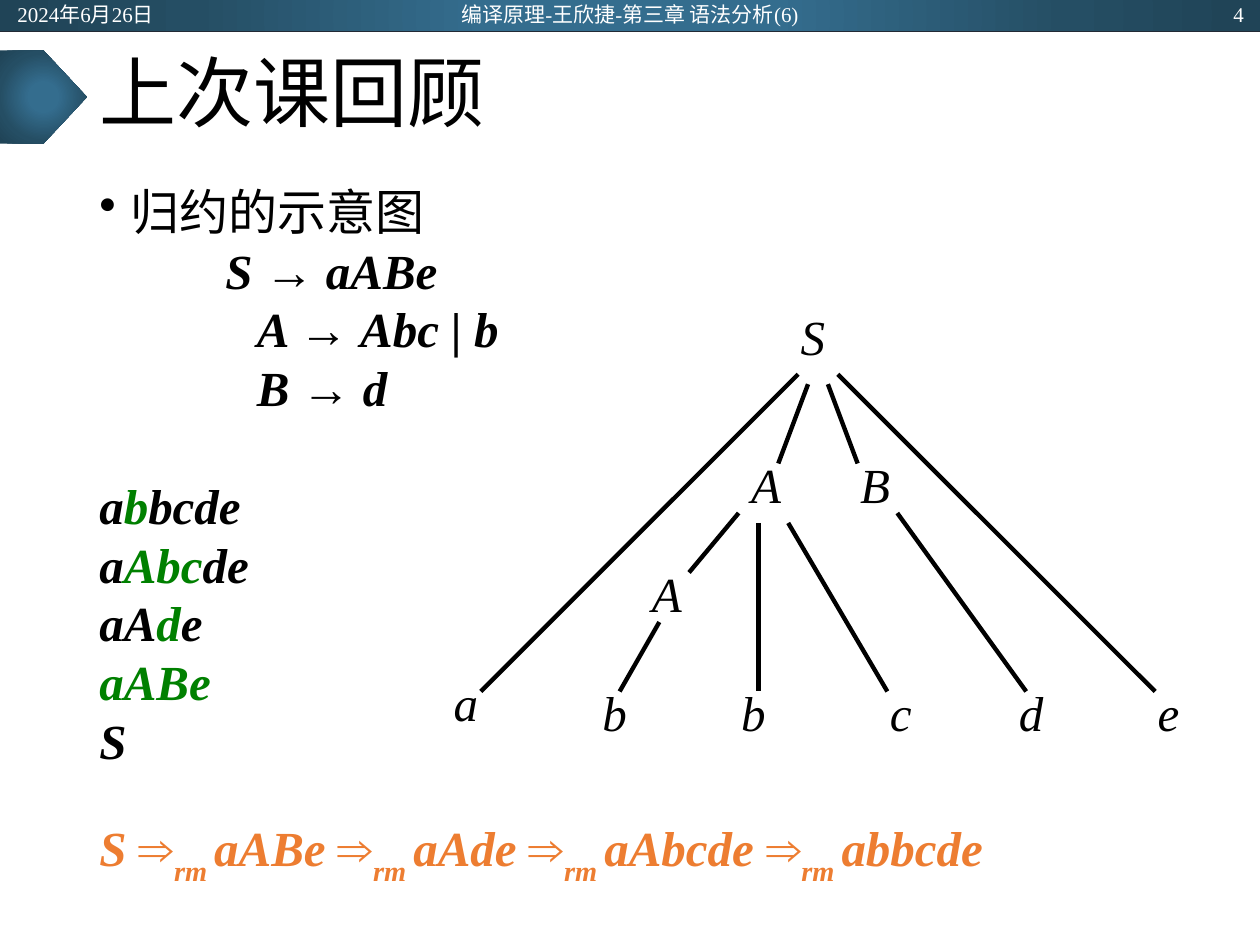
from lxml import etree
from pptx import Presentation
from pptx.dml.color import RGBColor
from pptx.enum.shapes import MSO_CONNECTOR, MSO_SHAPE
from pptx.enum.text import MSO_ANCHOR, MSO_AUTO_SIZE, PP_ALIGN
from pptx.oxml import parse_xml
from pptx.oxml.ns import nsdecls, qn
from pptx.util import Inches, Pt

LEFT, CENTER, RIGHT = PP_ALIGN.LEFT, PP_ALIGN.CENTER, PP_ALIGN.RIGHT
TOP, MIDDLE = MSO_ANCHOR.TOP, MSO_ANCHOR.MIDDLE
WIDTH, HEIGHT = 10, 7.5
FONT = "Times New Roman"
LINE_PITCH = 33.6
COLORS = {"text": "000000", "paper": "FFFFFF", "rule": "222A35",
          "green": "008000", "orange": "ED7D31"}
BLUE_STOPS = [(0, "346D8E"), (23, "346D8E"), (69, "254E64"), (97, "204457")]

# Each production: indent in inches, left side, right side
PRODUCTIONS = [(1, "S", "aABe"), (1.25, "A", "Abc | b"), (1.25, "B", "d")]
# Each reduction step: before the handle, the handle, after the handle
REDUCTIONS = [("a", "b", "bcde"), ("a", "Abc", "de"), ("aA", "d", "e"),
              ("", "aABe", ""), ("S", "", "")]
DERIVATION = ["S", "aABe", "aAde", "aAbcde", "abbcde"]

TREE_COLS, TREE_ROWS = 77, 45
# Each node: symbol, column, row, columns wide
TREE_NODES = [("S", 35, 0, 5.6), ("A", 30, 15, 5), ("B", 41, 15, 5.8),
              ("A", 20, 26, 7), ("a", 0, 37, 5.2), ("b", 15, 38, 6),
              ("b", 29, 38, 5.2), ("c", 44, 38, 7), ("d", 57, 38, 5.2),
              ("e", 71, 38, 6)]
# Each branch: column and row of both ends
TREE_BRANCHES = [(35, 7, 3, 39), (36, 8, 33, 16), (38, 8, 41, 16),
                 (39, 7, 71, 39), (29, 21, 24, 27), (31, 22, 31, 39),
                 (34, 22, 44, 39), (45, 21, 58, 39), (21, 32, 17, 39)]


def color(name):
    return RGBColor.from_string(COLORS[name])


def style(font, size, shade="text", bold=False, italic=False):
    font.name, font.size = FONT, Pt(size)
    font.bold, font.italic = bold, italic
    font.color.rgb = color(shade)


def set_frame(frame, margins, anchor=TOP):
    """Wrap the text; margins are (sides, top and bottom) in inches."""
    frame.word_wrap = True
    frame.auto_size = MSO_AUTO_SIZE.NONE
    frame.vertical_anchor = anchor
    frame.margin_left = frame.margin_right = Inches(margins[0])
    frame.margin_top = frame.margin_bottom = Inches(margins[1])


def add_text_box(shapes, box, margins, anchor=TOP):
    frame = shapes.add_textbox(*map(Inches, box)).text_frame
    set_frame(frame, margins, anchor)
    return frame


def add_line(shapes, start, end, shade, width):
    line = shapes.add_connector(MSO_CONNECTOR.STRAIGHT,
                                *map(Inches, (*start, *end)))
    line.line.color.rgb = color(shade)
    line.line.width = Pt(width)
    etree.SubElement(line._element.spPr, qn("a:effectLst"))


def add_glow_shape(page, kind, box):
    """Add a shape with the blue gradient that spreads from its centre."""
    shape = page.shapes.add_shape(kind, *map(Inches, box))
    shape.line.fill.background()
    stops = "".join(f'<a:gs pos="{share * 1000}"><a:srgbClr val="{shade}"/></a:gs>'
                    for share, shade in BLUE_STOPS)
    fill = parse_xml(
        f'<a:gradFill {nsdecls("a")} rotWithShape="1"><a:gsLst>{stops}</a:gsLst>'
        '<a:path path="circle"><a:fillToRect l="50000" t="50000" r="50000" '
        'b="50000"/></a:path></a:gradFill>')
    shape._element.spPr.find(qn("a:prstGeom")).addnext(fill)
    shape.shadow.inherit = False


def add_header(page, box):
    left, top, width, height = box
    add_glow_shape(page, MSO_SHAPE.RECTANGLE, box)
    add_line(page.shapes, (left, top + height), (left + width, top + height),
             "rule", 0.5)
    parts = [("2024年6月26日", 0.004, 0.225, LEFT),
             ("编译原理-王欣捷-第三章 语法分析(6)", 0.331, 0.338, CENTER),
             ("4", 0.772, 0.225, RIGHT)]
    for text, start, share, align in parts:
        frame = add_text_box(page.shapes, (left + start * width, top + 0.01,
                                           share * width, height * 0.8),
                             (0.1, 0), MIDDLE)
        para = frame.paragraphs[0]
        para.text, para.alignment = text, align
        style(para.font, 12, "paper")


def add_title(page, box):
    left, top, width, height = box
    add_glow_shape(page, MSO_SHAPE.PENTAGON, (0, top + 0.15, left, 0.74))
    title = page.shapes.title
    title.left, title.top, title.width, title.height = map(Inches, box)
    set_frame(title.text_frame, (0.1, 0.05), MIDDLE)
    para = title.text_frame.paragraphs[0]
    para.text, para.alignment, para.line_spacing = "上次课回顾", LEFT, 0.9
    style(para.font, 44)


def add_span(para, text, shade=None, upright=False, subscript=False):
    span = para.add_run()
    span.text = text
    if shade:
        span.font.color.rgb = color(shade)
    if upright:
        span.font.italic = False
    if subscript:
        span._r.get_or_add_rPr().set("baseline", "-30000")


def add_body_para(frame, indent=0, hanging=0, bullet=None, gap=False,
                  shade="text", strong=True):
    """Add a line to the body; gap leaves one line free above it."""
    para = frame.paragraphs[0] if bullet else frame.add_paragraph()
    props = para._p.get_or_add_pPr()
    props.set("marL", str(Inches(indent)))
    props.set("indent", str(-Inches(hanging)))
    if bullet:
        etree.SubElement(props, qn("a:buChar")).set("char", bullet)
    para.line_spacing = Pt(LINE_PITCH)
    para.space_before = Pt(LINE_PITCH if gap else 0)
    style(para.font, 28, shade, strong, strong)
    return para


def add_body(page, box):
    frame = add_text_box(page.shapes, box, (0.1, 0.06))
    heading = add_body_para(frame, 0.25, 0.25, bullet="•", strong=False)
    add_span(heading, "归约的示意图")
    for indent, left_side, right_side in PRODUCTIONS:
        para = add_body_para(frame, indent)
        add_span(para, left_side + " ")
        add_span(para, "→ ", upright=True)
        add_span(para, right_side)
    for index, (before, handle, after) in enumerate(REDUCTIONS):
        para = add_body_para(frame, gap=index == 0)
        for text, shade in ((before, None), (handle, "green"), (after, None)):
            if text:
                add_span(para, text, shade)
    para = add_body_para(frame, gap=True, shade="orange")
    add_span(para, DERIVATION[0] + " ")
    for index, form in enumerate(DERIVATION[1:], 1):
        add_span(para, "⇒", upright=True)
        add_span(para, "rm ", subscript=True)
        add_span(para, form if index == len(DERIVATION) - 1 else form + " ")


def add_parse_tree(page, box):
    left, top, width, height = box
    col, row = width / TREE_COLS, height / TREE_ROWS
    tree = page.shapes.add_group_shape().shapes
    for symbol, x, y, cols in TREE_NODES:
        node = (left + x * col, top + y * row, cols * col, 7 * row)
        para = add_text_box(tree, node, (0.02, 0.01)).paragraphs[0]
        para.text = symbol
        style(para.font, 28, italic=True)
    for x1, y1, x2, y2 in TREE_BRANCHES:
        add_line(tree, (left + x1 * col, top + y1 * row),
                 (left + x2 * col, top + y2 * row), "text", 2.5)


def main():
    deck = Presentation()
    deck.slide_width, deck.slide_height = Inches(WIDTH), Inches(HEIGHT)
    page = deck.slides.add_slide(deck.slide_layouts.get_by_name("Title Only"))
    margin, header_height = 0.069 * WIDTH, HEIGHT / 30
    content_width = WIDTH - 2 * margin
    add_header(page, (0, 0, WIDTH, header_height))
    add_title(page, (margin, header_height, content_width, 1.04))
    add_body(page, (margin, 1.38, content_width, 5.87))
    add_parse_tree(page, (3.58, 2.42, 6.06, 3.54))
    deck.save("out.pptx")


if __name__ == "__main__":
    main()
